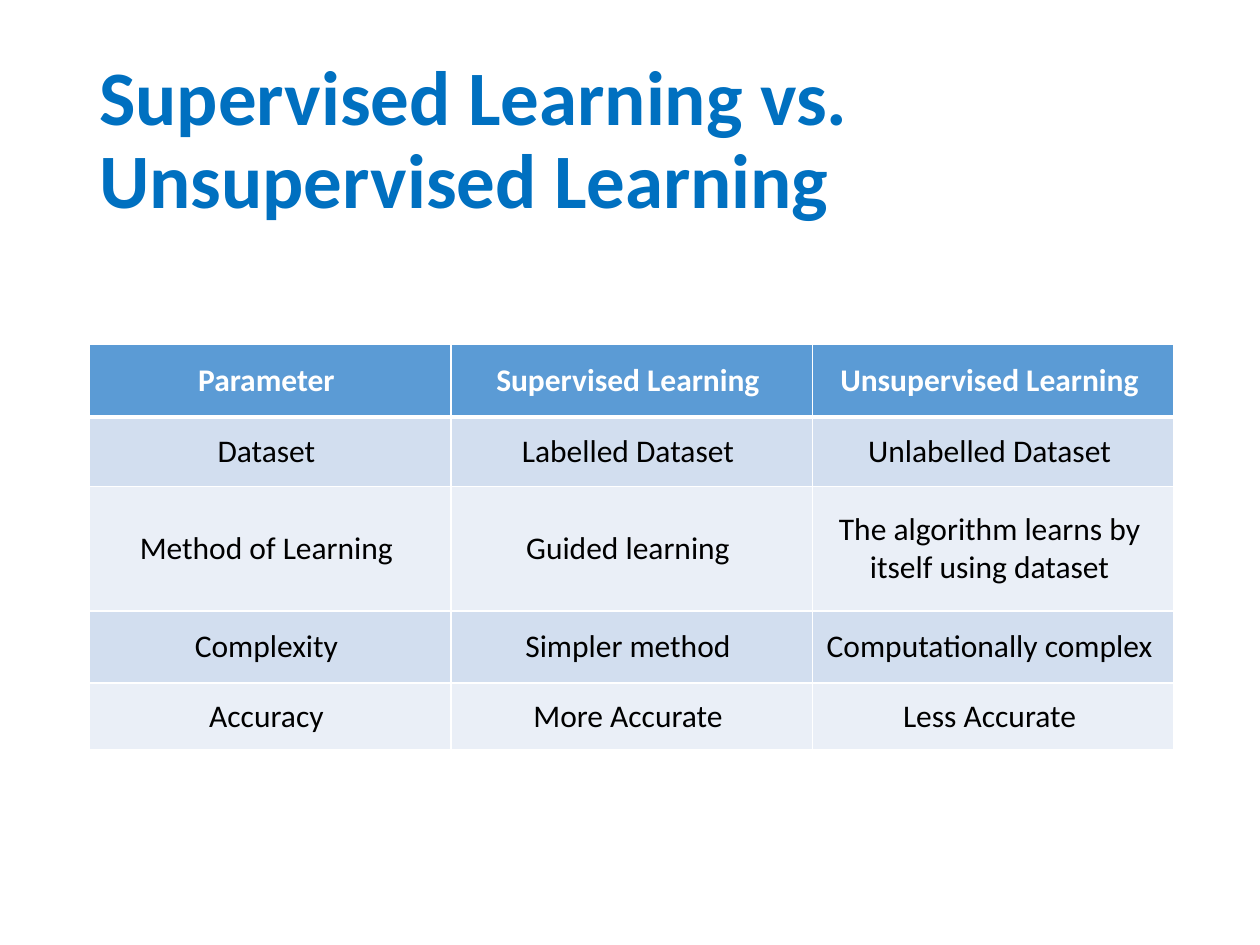
"""Build a slide comparing supervised and unsupervised learning."""
from lxml import etree
from pptx import Presentation
from pptx.dml.color import RGBColor
from pptx.enum import text
from pptx.oxml import ns
from pptx.util import Inches, Pt

TITLE = "Supervised Learning vs. Unsupervised Learning"
ROWS = [
    ("Parameter", "Supervised Learning", "Unsupervised Learning"),
    ("Dataset", "Labelled Dataset", "Unlabelled Dataset"),
    ("Method of Learning", "Guided learning", "The algorithm learns by itself using dataset"),
    ("Complexity", "Simpler method", "Computationally complex"),
    ("Accuracy", "More Accurate", "Less Accurate"),
]
ROW_HEIGHTS = [0.58, 0.55, 0.99, 0.57, 0.53]
COLUMN_WIDTH = 2.87
COLORS = {
    "title": "0070C0",
    "header": "5B9BD5",
    "odd": "D2DEEF",
    "even": "EAEFF7",
    "white": "FFFFFF",
    "black": "000000",
}


def write_text(frame, content, size, color, bold=False,
               align=text.PP_ALIGN.LEFT, spacing=1.0):
    frame.word_wrap = True
    paragraph = frame.paragraphs[0]
    paragraph.alignment = align
    paragraph.line_spacing = spacing
    run = paragraph.add_run()
    run.text = content
    run.font.name = "Calibri"
    run.font.size = Pt(size)
    run.font.bold = bold
    run.font.color.rgb = RGBColor.from_string(COLORS[color])


def set_borders(cell, top, bottom):
    properties = cell._tc.get_or_add_tcPr()
    widths = {"lnL": 1, "lnR": 1, "lnT": top, "lnB": bottom}
    for position, (side, width) in enumerate(widths.items()):
        line = etree.Element(ns.qn(f"a:{side}"), w=str(Pt(width)))
        fill = etree.SubElement(line, ns.qn("a:solidFill"))
        etree.SubElement(fill, ns.qn("a:srgbClr"), val=COLORS["white"])
        properties.insert(position, line)


def add_title(slide):
    box = slide.shapes.add_textbox(Inches(0.69), Inches(0.4), Inches(8.62), Inches(1.45))
    box.text_frame.vertical_anchor = text.MSO_ANCHOR.MIDDLE
    write_text(box.text_frame, TITLE, size=44, color="title", bold=True, spacing=0.9)


def add_comparison(slide):
    columns = len(ROWS[0])
    table = slide.shapes.add_table(
        len(ROWS), columns, Inches(0.71), Inches(2.73),
        Inches(COLUMN_WIDTH * columns), Inches(sum(ROW_HEIGHTS))).table
    for column in table.columns:
        column.width = Inches(COLUMN_WIDTH)
    for index, (labels, height) in enumerate(zip(ROWS, ROW_HEIGHTS)):
        table.rows[index].height = Inches(height)
        header = index == 0
        band = "header" if header else "odd" if index % 2 else "even"
        for cell, label in zip(table.rows[index].cells, labels):
            cell.fill.solid()
            cell.fill.fore_color.rgb = RGBColor.from_string(COLORS[band])
            cell.vertical_anchor = text.MSO_ANCHOR.MIDDLE
            cell.margin_left, cell.margin_right = Inches(0.04), Inches(0.1)
            cell.margin_top = cell.margin_bottom = Inches(0.05)
            set_borders(cell, top=3 if index == 1 else 1, bottom=3 if header else 1)
            write_text(cell.text_frame, label, size=18, bold=header,
                       color="white" if header else "black", align=text.PP_ALIGN.CENTER)


def main():
    presentation = Presentation()
    presentation.slide_width, presentation.slide_height = Inches(10), Inches(7.5)
    slide = presentation.slides.add_slide(presentation.slide_layouts[6])
    add_title(slide)
    add_comparison(slide)
    presentation.save("out.pptx")


if __name__ == "__main__":
    main()
